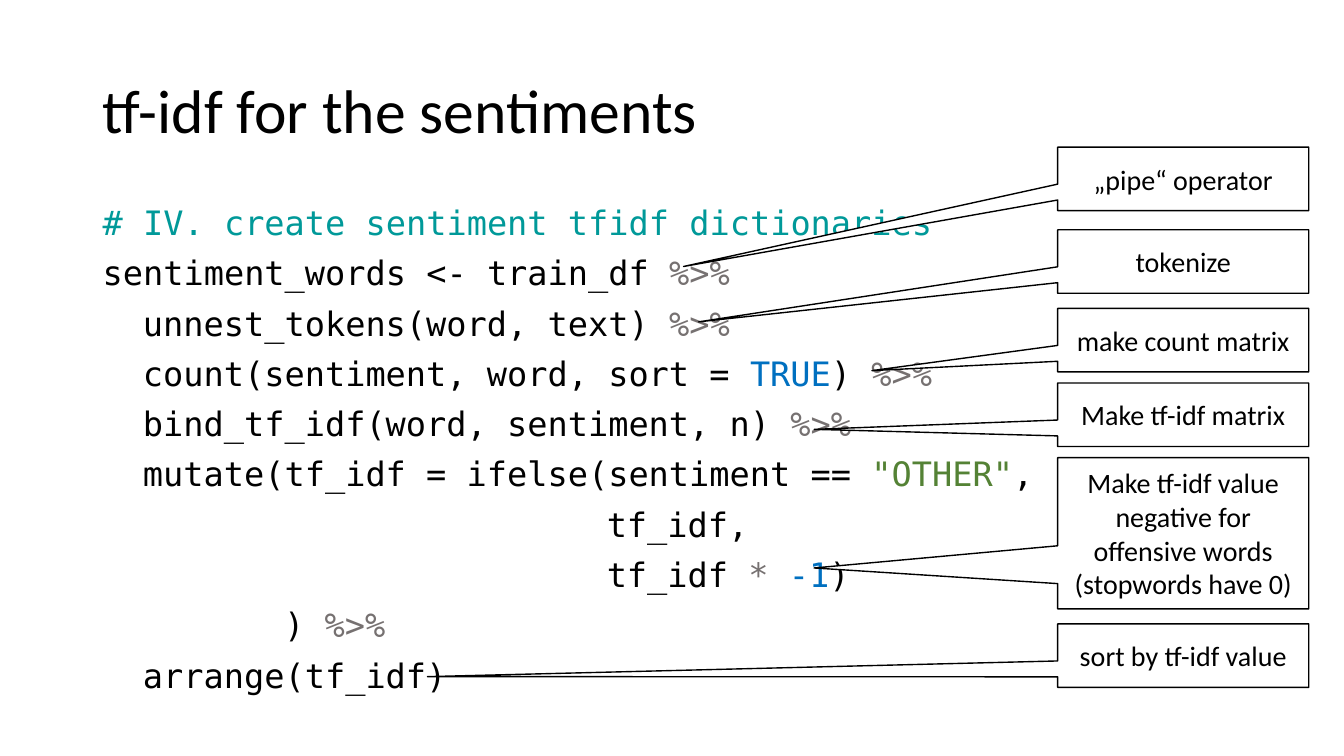
from pptx import Presentation
from pptx.dml.color import RGBColor
from pptx.enum.shapes import MSO_SHAPE
from pptx.enum.text import MSO_ANCHOR, PP_ALIGN
from pptx.util import Inches, Pt

BLACK, GREY, BLUE, GREEN, TEAL = "000000", "767171", "0070C0", "548235", "009999"
TITLE = {"name": "Calibri", "size": Pt(44)}
CODE = {"name": "DejaVu Sans Mono", "size": Pt(24)}
LABEL = {"name": "Calibri", "size": Pt(20)}
CHAR_WIDTH = 0.2  # inches per monospaced character
PIPE = ("%>%", GREY)

# Indent in characters, then (text, colour) runs
code_lines = [
    (0, [("# IV. create sentiment tfidf dictionaries", TEAL)]),
    (0, [("sentiment_words <- train_df ", BLACK), PIPE]),
    (2, [("unnest_tokens(word, text) ", BLACK), PIPE]),
    (2, [("count(sentiment, word, sort = ", BLACK), ("TRUE", BLUE), (") ", BLACK), PIPE]),
    (2, [("bind_tf_idf(word, sentiment, n) ", BLACK), PIPE]),
    (2, [("mutate(tf_idf = ifelse(sentiment == ", BLACK), ('"OTHER"', GREEN), (",", BLACK)]),
    (25, [("tf_idf,", BLACK)]),
    (25, [("tf_idf ", BLACK), ("* ", GREY), ("-1", BLUE), (")", BLACK)]),
    (9, [(") ", BLACK), PIPE]),
    (2, [("arrange(tf_idf)", BLACK)]),
]

# Top, height, pointer tip relative to the box centre, label
callouts = [
    (1.46, 0.63, (-1.99, 1.38), "„pipe“ operator"),
    (2.28, 0.63, (-1.93, 0.95), "tokenize"),
    (3.06, 0.63, (-1.24, 0.48), "make count matrix"),
    (3.8, 0.63, (-1.47, 0.23), "Make tf-idf matrix"),
    (4.54, 1.5, (-1.47, 0.23),
     "Make tf-idf value negative for offensive words (stopwords have 0)"),
    (6.19, 0.63, (-3.01, 0.33), "sort by tf-idf value"),
]


def rgb(color):
    return RGBColor.from_string(color)


def add_run(p, text, font, color=BLACK):
    r = p.add_run()
    r.text = text
    for name, value in font.items():
        setattr(r.font, name, value)
    r.font.color.rgb = rgb(color)


prs = Presentation()
prs.slide_width, prs.slide_height = Inches(13.33), Inches(7.5)
s = prs.slides.add_slide(prs.slide_layouts[6])

# Title
tf = s.shapes.add_textbox(Inches(0.92), Inches(0.4), Inches(11.5), Inches(1.45)).text_frame
tf.word_wrap = True
tf.vertical_anchor = MSO_ANCHOR.MIDDLE
tf.paragraphs[0].line_spacing = 0.9
add_run(tf.paragraphs[0], "tf-idf for the sentiments", TITLE)

# Code
tf = s.shapes.add_textbox(Inches(0.92), Inches(2), Inches(11.5), Inches(5.34)).text_frame
tf.word_wrap = True
for i, (indent, runs) in enumerate(code_lines):
    p = tf.add_paragraph() if i else tf.paragraphs[0]
    p.line_spacing = 0.9
    p.space_before = Pt(10)
    p._p.get_or_add_pPr().set("marL", str(Inches(indent * CHAR_WIDTH)))
    for text, color in runs:
        add_run(p, text, CODE, color)

# Callouts
for top, height, tip, label in callouts:
    sp = s.shapes.add_shape(MSO_SHAPE.RECTANGULAR_CALLOUT, Inches(10.49), Inches(top),
                            Inches(2.49), Inches(height))
    sp.adjustments[0], sp.adjustments[1] = tip
    sp.shadow.inherit = False
    sp.fill.solid()
    sp.fill.fore_color.rgb = rgb("FFFFFF")
    sp.line.color.rgb = rgb(BLACK)
    sp.line.width = Pt(1)
    tf = sp.text_frame
    tf.word_wrap = True
    tf.vertical_anchor = MSO_ANCHOR.MIDDLE
    tf.paragraphs[0].alignment = PP_ALIGN.CENTER
    add_run(tf.paragraphs[0], label, LABEL)

prs.save("out.pptx")
